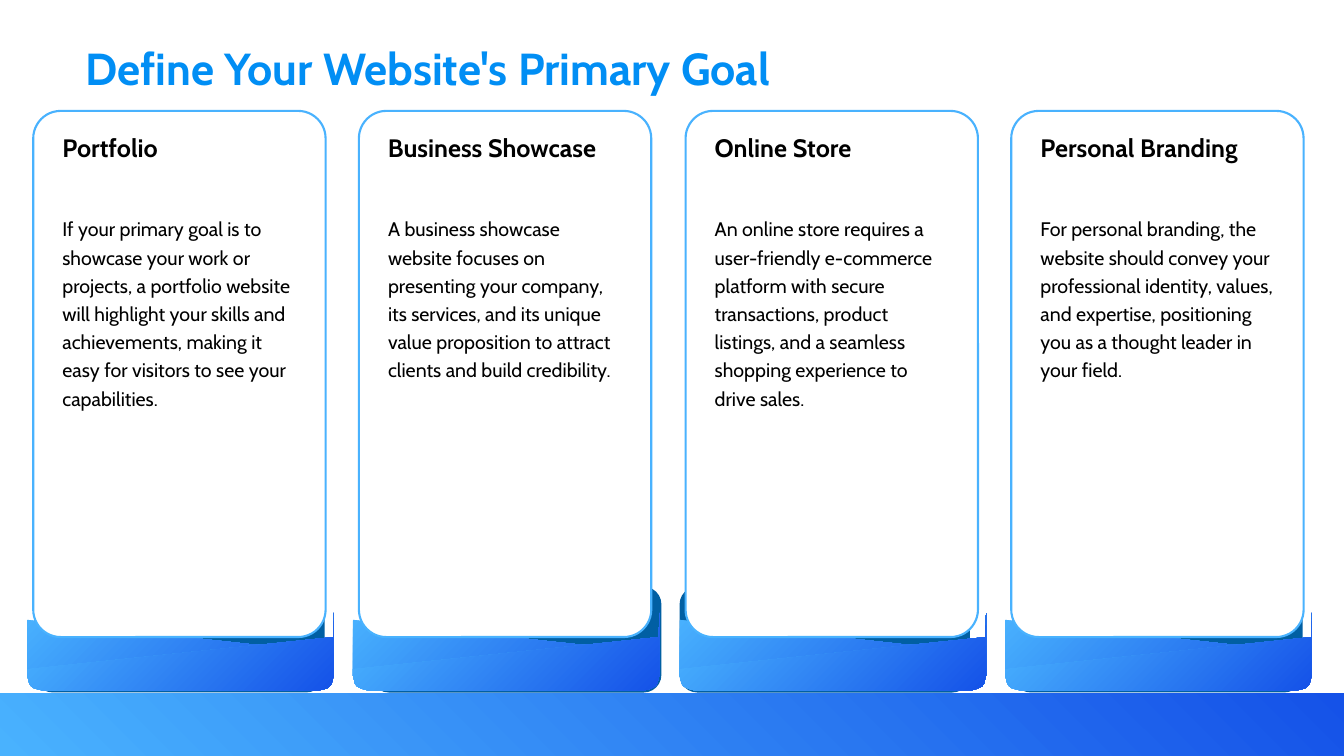
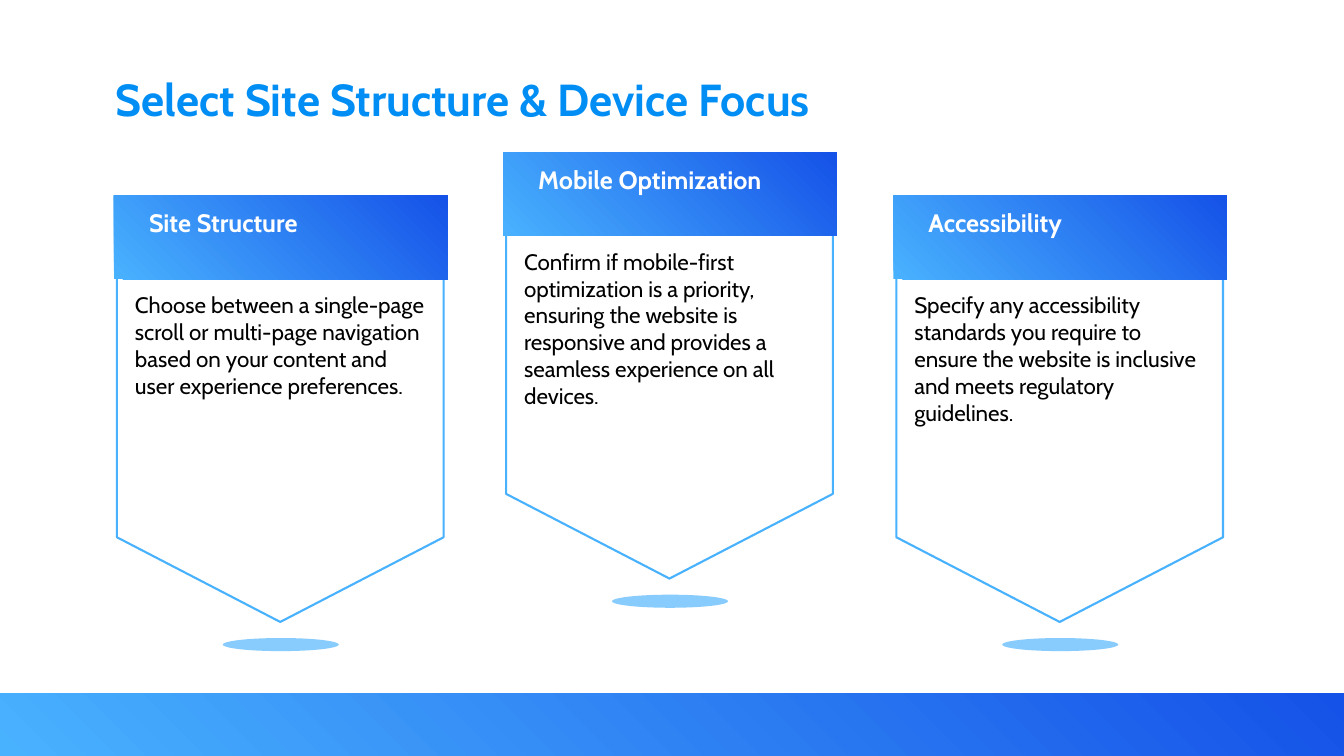
import math

import pptx
import pptx.dml.color
import pptx.enum.shapes
import pptx.oxml.ns
import pptx.util
from lxml import etree

# Content
GOALS_TITLE = "Define Your Website's Primary Goal"
GOALS = [
    ("Portfolio",
     "If your primary goal is to showcase your work or projects, a portfolio website "
     "will highlight your skills and achievements, making it easy for visitors to see "
     "your capabilities."),
    ("Business Showcase",
     "A business showcase website focuses on presenting your company, its services, "
     "and its unique value proposition to attract clients and build credibility."),
    ("Online Store",
     "An online store requires a user-friendly e-commerce platform with secure "
     "transactions, product listings, and a seamless shopping experience to drive sales."),
    ("Personal Branding",
     "For personal branding, the website should convey your professional identity, "
     "values, and expertise, positioning you as a thought leader in your field."),
]
STRUCTURE_TITLE = "Select Site Structure & Device Focus"
BANNERS = [
    ("Site Structure",
     "Choose between a single-page scroll or multi-page navigation based on your "
     "content and user experience preferences."),
    ("Mobile Optimization",
     "Confirm if mobile-first optimization is a priority, ensuring the website is "
     "responsive and provides a seamless experience on all devices."),
    ("Accessibility",
     "Specify any accessibility standards you require to ensure the website is "
     "inclusive and meets regulatory guidelines."),
]

# Shared style; lengths are px at 100 px to the inch
PX = 9144
WIDTH, HEIGHT = 1333, 750
FONT = "Cabin"
TITLE_BLUE, LIGHT_BLUE, DEEP_BLUE, TAB_BLUE = "018EF4", "49B2FE", "1552E8", "015FA3"
WHITE, BLACK = "FFFFFF", "000000"
RISING, FALLING = 45, 315
SHAPES = pptx.enum.shapes.MSO_SHAPE

# Goal cards
CARD_LEFT, CARD_STEP, CARD_TOP, CARD_WIDTH, CARD_HEIGHT = 33, 970 / 3, 110, 290, 522
TABS = [(1, 576, 111), (12, 582, 105), (-6, 582, 105), (1, 576, 111)]  # shift, top, height
TAB_WIDTH = 288
SKIRT_WIDTH, SKIRT_BOTTOM, SKIRT_RADIUS = 304, 685, 15

# Pointed banners
BANNER_LEFT, BANNER_STEP, BANNER_WIDTH = 116, 386.5, 324
BANNER_TOPS = [194, 151, 194]


def color(hex_string):
    return pptx.dml.color.RGBColor.from_string(hex_string)


def emu(*lengths):
    return [pptx.util.Emu(round(length * PX)) for length in lengths]


def paint(shape, fill, line=None):
    shape.shadow.inherit = False
    shape.fill.solid()
    shape.fill.fore_color.rgb = color(fill)
    if line:
        shape.line.color.rgb = color(line)
        shape.line.width = pptx.util.Pt(1.5)
    else:
        shape.line.fill.background()
    return shape


def paint_gradient(shape, angle):
    shape.shadow.inherit = False
    shape.line.fill.background()
    shape.fill.gradient()
    shape.fill.gradient_angle = angle
    for stop, hex_string in zip(shape.fill.gradient_stops, (LIGHT_BLUE, DEEP_BLUE)):
        stop.color.rgb = color(hex_string)


def add_shape(slide, kind, left, top, width, height):
    return slide.shapes.add_shape(kind, *emu(left, top, width, height))


def add_outline(slide, points):
    builder = slide.shapes.build_freeform(*points[0], scale=PX)
    builder.add_line_segments(points[1:], close=True)
    return builder.convert_to_shape()


def add_text(slide, text, left, top, width, height, size, hex_string,
             bold=False, spacing=None):
    frame = slide.shapes.add_textbox(*emu(left, top, width, height)).text_frame
    frame.word_wrap = True
    frame.text = text
    paragraph = frame.paragraphs[0]
    if spacing:
        paragraph.line_spacing = spacing
    font = paragraph.runs[0].font
    font.name, font.size, font.bold = FONT, pptx.util.Pt(size), bold
    font.color.rgb = color(hex_string)


def add_base_slide(presentation, title, left, top):
    slide = presentation.slides.add_slide(presentation.slide_layouts[6])
    add_text(slide, title, left, top, 1072, 54, 32, TITLE_BLUE, bold=True)
    band = add_shape(slide, SHAPES.RECTANGLE, 0, 688, WIDTH, HEIGHT - 688)
    paint_gradient(band, RISING)
    return slide


def rounded_bottom(left):
    """Points from the lower right corner to the lower left one."""
    radius = SKIRT_RADIUS
    points = []
    for center, start in ((left + SKIRT_WIDTH - radius, 0), (left + radius, 90)):
        for angle in range(start, start + 91, 15):
            turn = math.radians(angle)
            points.append((center + radius * math.cos(turn),
                           SKIRT_BOTTOM - radius + radius * math.sin(turn)))
    return points


def add_goal_card(slide, index, heading, body):
    left = round(CARD_LEFT + index * CARD_STEP)
    shift, tab_top, tab_height = TABS[index]
    paint(add_shape(slide, SHAPES.ROUNDED_RECTANGLE, left + shift, tab_top,
                    TAB_WIDTH, tab_height), TAB_BLUE)

    # Two overlapping skirts under the card
    skirt = left - 6
    right = skirt + SKIRT_WIDTH
    back_edge = [(skirt, 615), (right - 1, 648), (right, 608)]
    front_edge = [(skirt, 664), (right, 632)]
    for edge in (back_edge, front_edge):
        paint_gradient(add_outline(slide, rounded_bottom(skirt) + edge), FALLING)

    card = add_shape(slide, SHAPES.ROUNDED_RECTANGLE, left, CARD_TOP,
                     CARD_WIDTH, CARD_HEIGHT)
    card.adjustments[0] = 0.094
    paint(card, WHITE, LIGHT_BLUE)
    add_text(slide, heading, left + 19, 126, 247, 30, 18, BLACK, bold=True)
    add_text(slide, body, left + 19, 206, 251, 363, 14, BLACK, spacing=1.2)


def add_banner(slide, index, heading, body):
    left = round(BANNER_LEFT + index * BANNER_STEP)
    top = BANNER_TOPS[index]
    right, middle = left + BANNER_WIDTH, left + BANNER_WIDTH // 2
    outline = [(left, top + 45), (right, top + 45), (right, top + 339),
               (middle, top + 423), (left, top + 339)]
    paint(add_outline(slide, outline), WHITE, LIGHT_BLUE)
    header = add_shape(slide, SHAPES.RECTANGLE, left - 3, top, 331, 83)
    paint_gradient(header, RISING)

    # Translucent ground shade
    shade = paint(add_shape(slide, SHAPES.OVAL, left + 105, top + 439, 115, 13), LIGHT_BLUE)
    qn = pptx.oxml.ns.qn
    fill_color = shade.fill._xPr.find(qn("a:solidFill")).find(qn("a:srgbClr"))
    etree.SubElement(fill_color, qn("a:alpha")).set("val", "65000")

    add_text(slide, heading, left + 22, top + 7, 280, 30, 18, WHITE, bold=True)
    add_text(slide, body, left + 8, top + 90, 308, 150, 16, BLACK)


def main():
    presentation = pptx.Presentation()
    presentation.slide_width, presentation.slide_height = emu(WIDTH, HEIGHT)

    goals = add_base_slide(presentation, GOALS_TITLE, 75, 36)
    for index, (heading, body) in enumerate(GOALS):
        add_goal_card(goals, index, heading, body)

    structure = add_base_slide(presentation, STRUCTURE_TITLE, 105, 66)
    for index, (heading, body) in enumerate(BANNERS):
        add_banner(structure, index, heading, body)

    presentation.save("out.pptx")


if __name__ == "__main__":
    main()
